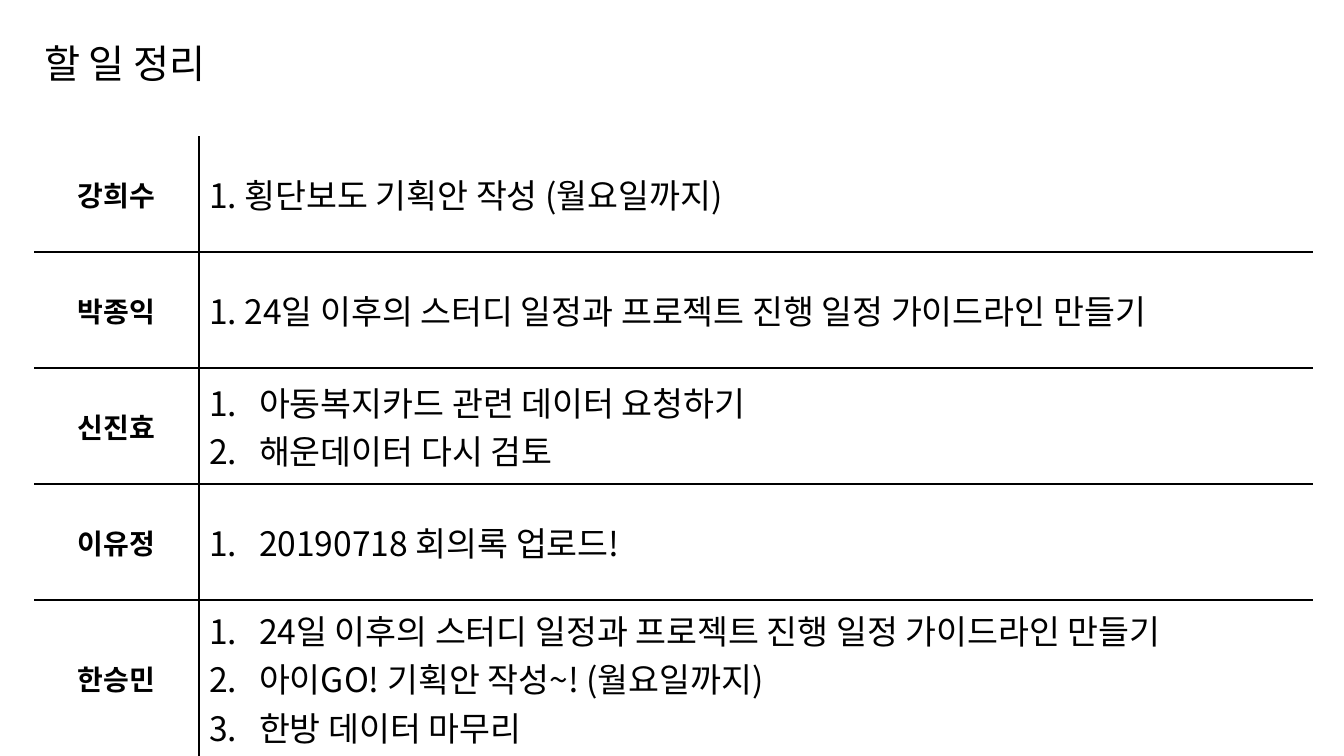
"""Build a to-do slide with one table row per team member."""
from lxml import etree
from pptx import Presentation
from pptx.dml.color import RGBColor
from pptx.enum.text import MSO_ANCHOR, PP_ALIGN
from pptx.oxml.ns import qn
from pptx.util import Emu, Pt

TITLE = "할 일 정리"
TODOS = [
    ("강희수", False, ["1. 횡단보도 기획안 작성 (월요일까지)"]),
    ("박종익", False, ["1. 24일 이후의 스터디 일정과 프로젝트 진행 일정 가이드라인 만들기"]),
    ("신진효", True, ["아동복지카드 관련 데이터 요청하기", "해운데이터 다시 검토"]),
    ("이유정", True, ["20190718 회의록 업로드!"]),
    ("한승민", True, ["24일 이후의 스터디 일정과 프로젝트 진행 일정 가이드라인 만들기",
                   "아이GO! 기획안 작성~! (월요일까지)", "한방 데이터 마무리"]),
]
THEME = {"font": "Noto Sans CJK KR", "ink": "000000", "title": 28, "name": 20, "task": 24, "line": 1}
LEFT, TABLE_TOP, ROW_HEIGHT = 34, 136, 116
COLUMN_WIDTHS = (165, 1114)
TITLE_BOX = (LEFT, 0, 1112, 92)
LIST_INDENT = 50
NO_STYLE = "{2D5ABB26-0587-4C30-8999-92F81FD0307C}"


def px(pixels):
    return Emu(round(pixels * 914400 / 100.8))


def write(paragraph, text, size, bold=False):
    run = paragraph.add_run()
    run.text = text
    run.font.size = Pt(size)
    run.font.bold = bold
    run.font.name = THEME["font"]
    run.font.color.rgb = RGBColor.from_string(THEME["ink"])
    etree.SubElement(run.font._element, qn("a:ea"), typeface=THEME["font"])


def number(paragraph):
    properties = paragraph._p.get_or_add_pPr()
    properties.set("marL", str(px(LIST_INDENT)))
    properties.set("indent", str(-px(LIST_INDENT)))
    etree.SubElement(properties, qn("a:buFont"), typeface="+mj-lt")
    etree.SubElement(properties, qn("a:buAutoNum"), type="arabicPeriod")


def rule_cell(cell, sides):
    properties = cell._tc.get_or_add_tcPr()
    for side in "LRTB":
        drawn = side in sides
        line = etree.SubElement(properties, qn(f"a:ln{side}"), w=str(Pt(THEME["line"])))
        fill = etree.SubElement(line, qn("a:solidFill" if drawn else "a:noFill"))
        if drawn:
            etree.SubElement(fill, qn("a:srgbClr"), val=THEME["ink"])
    cell.fill.background()
    cell.vertical_anchor = MSO_ANCHOR.MIDDLE


def add_title(slide):
    title = slide.shapes.title
    title.left, title.top, title.width, title.height = map(px, TITLE_BOX)
    title.text_frame.vertical_anchor = MSO_ANCHOR.BOTTOM
    paragraph = title.text_frame.paragraphs[0]
    paragraph.alignment = PP_ALIGN.LEFT
    paragraph.line_spacing = 0.9
    write(paragraph, TITLE, THEME["title"])


def add_todos(slide):
    frame = slide.shapes.add_table(len(TODOS), 2, px(LEFT), px(TABLE_TOP),
                                   px(sum(COLUMN_WIDTHS)), px(ROW_HEIGHT * len(TODOS)))
    table = frame.table
    table.first_row = table.horz_banding = False
    table._tbl.tblPr.find(qn("a:tableStyleId")).text = NO_STYLE
    for column, width in zip(table.columns, COLUMN_WIDTHS):
        column.width = px(width)
    for index, (name, numbered, tasks) in enumerate(TODOS):
        table.rows[index].height = px(ROW_HEIGHT)
        name_cell, task_cell = table.cell(index, 0), table.cell(index, 1)
        level_rules = ("T" if index else "") + ("B" if index < len(TODOS) - 1 else "")
        rule_cell(name_cell, "R" + level_rules)
        rule_cell(task_cell, "L" + level_rules)
        name_line = name_cell.text_frame.paragraphs[0]
        name_line.alignment = PP_ALIGN.CENTER
        write(name_line, name, THEME["name"], bold=True)
        text = task_cell.text_frame
        for position, task in enumerate(tasks):
            paragraph = text.add_paragraph() if position else text.paragraphs[0]
            if numbered:
                number(paragraph)
            write(paragraph, task, THEME["task"])


presentation = Presentation()
presentation.slide_width, presentation.slide_height = px(1344), px(756)
todo_slide = presentation.slides.add_slide(presentation.slide_layouts[5])
add_title(todo_slide)
add_todos(todo_slide)
presentation.save("out.pptx")
